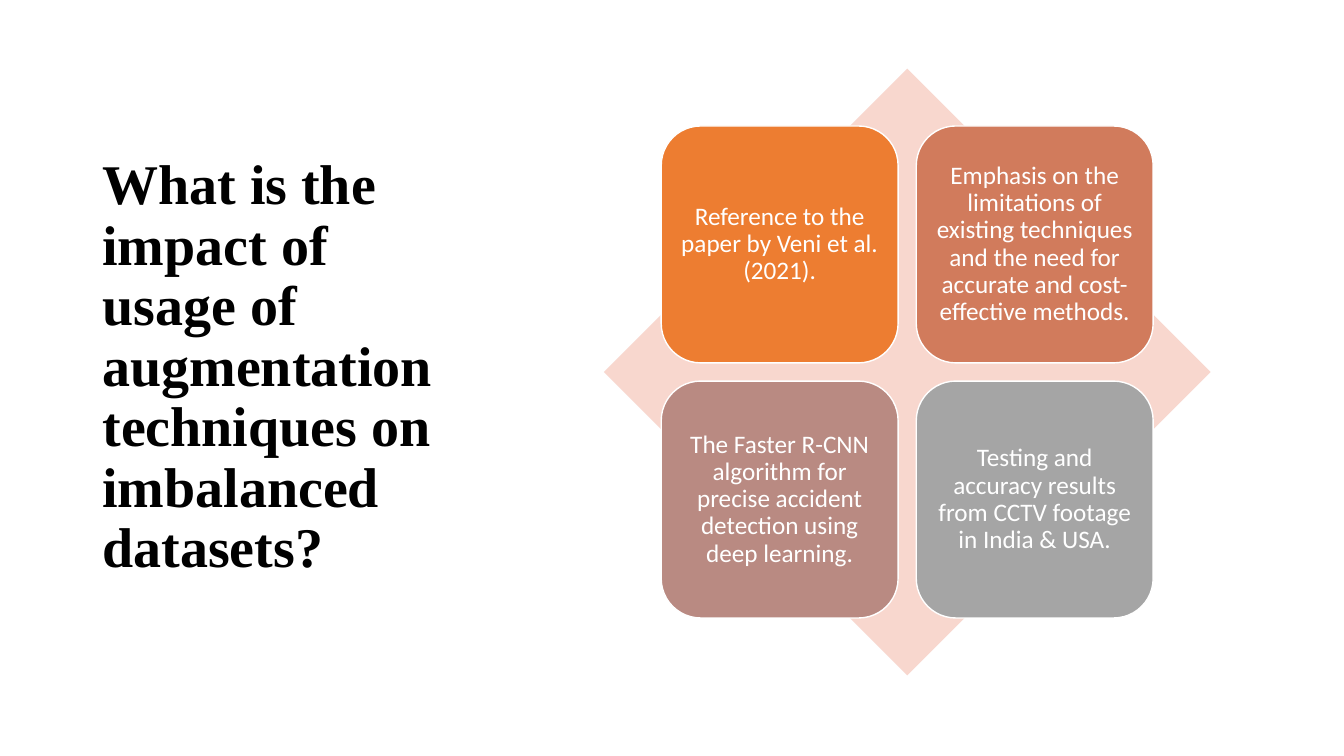
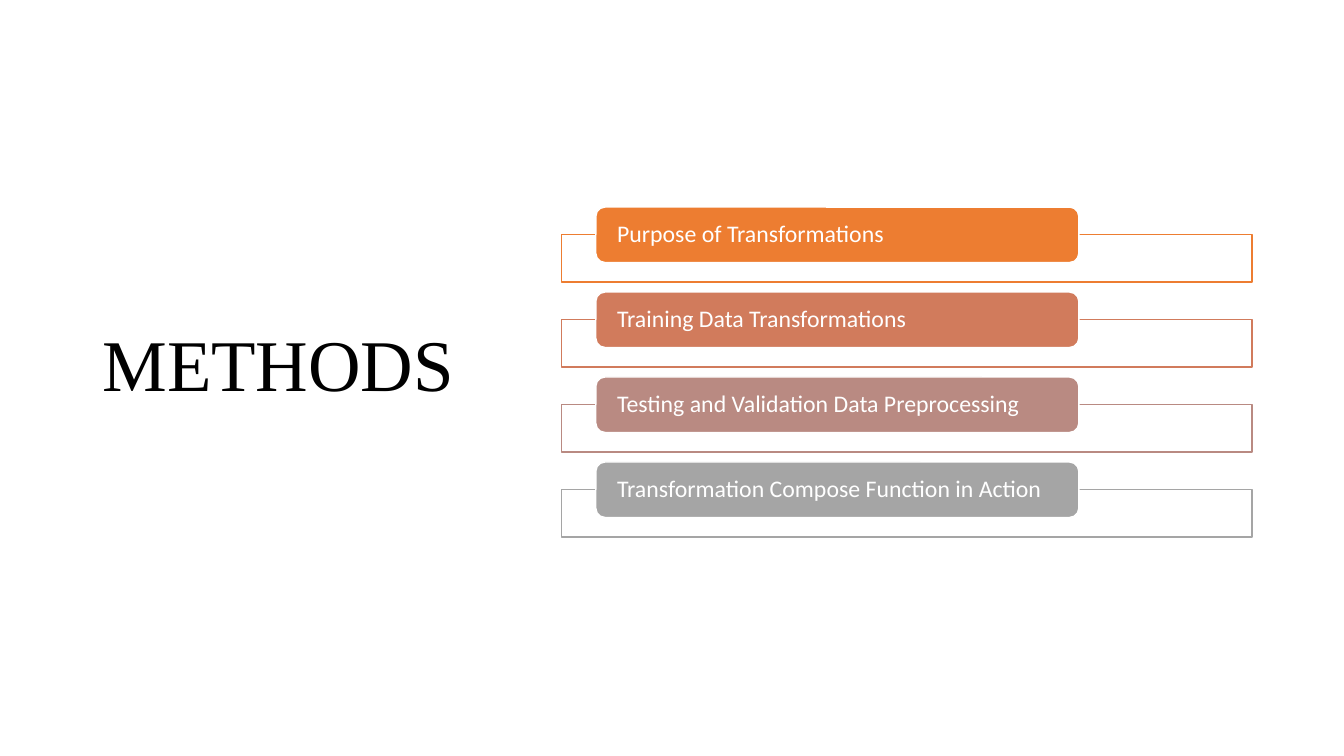
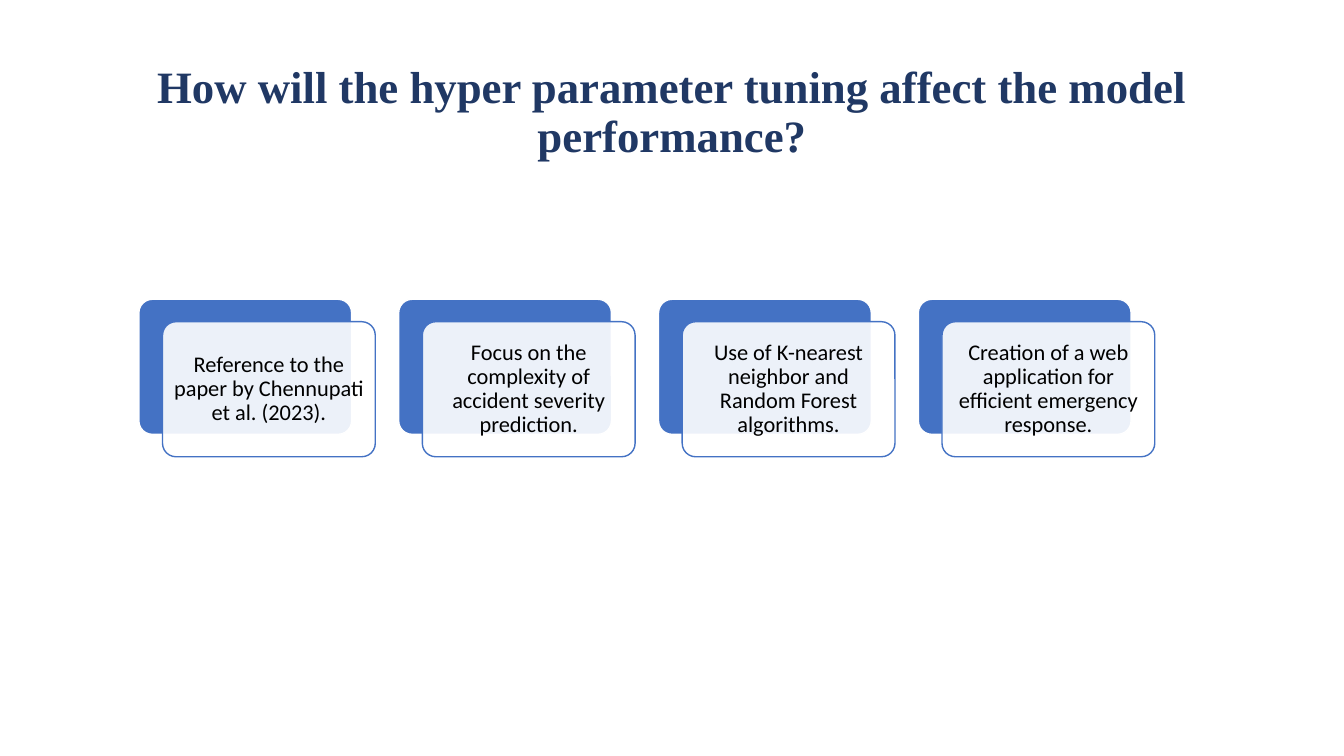
from dataclasses import dataclass

from lxml.etree import SubElement
from pptx import Presentation
from pptx.dml.color import RGBColor
from pptx.enum.shapes import MSO_SHAPE
from pptx.enum.text import MSO_ANCHOR, MSO_AUTO_SIZE, PP_ALIGN
from pptx.oxml.ns import qn
from pptx.util import Pt


# Colours, fonts and type sizes
@dataclass(frozen=True)
class Theme:
    white: str = "FFFFFF"
    black: str = "000000"
    navy: str = "203864"
    blue: str = "4472C4"
    blush: str = "F8D7CE"
    accents: tuple = ("ED7D31", "D17B5C", "B98A82", "A5A5A5")
    title_font: str = "Times New Roman"
    body_font: str = "Calibri"
    question_size: float = 40
    section_size: float = 52
    heading_size: float = 32
    card_size: float = 18
    label_size: float = 17
    tile_size: float = 16
    line_width: float = 1
    line_spacing: float = 0.9


THEME = Theme()
SIDE_TITLE = (66, 44, 266, 438)
TOP_TITLE = (66, 28.8, 828, 104.4)


def write_text(shape, text, *, size, color, font=THEME.body_font, bold=False,
               align=PP_ALIGN.LEFT, inset=(7.2, 3.6)):
    """Fill a shape with one vertically centred paragraph."""
    frame = shape.text_frame
    frame.word_wrap = True
    frame.auto_size = MSO_AUTO_SIZE.NONE
    frame.vertical_anchor = MSO_ANCHOR.MIDDLE
    frame.margin_left = frame.margin_right = Pt(inset[0])
    frame.margin_top = frame.margin_bottom = Pt(inset[1])
    para = frame.paragraphs[0]
    para.alignment = align
    para.line_spacing = THEME.line_spacing
    para.space_before = para.space_after = Pt(0)
    span = para.add_run()
    span.text = text
    span.font.name = font
    span.font.size = Pt(size)
    span.font.bold = bold
    span.font.color.rgb = RGBColor.from_string(color)


class SlideBuilder:
    """Holds the theme and the slide being built."""

    def __init__(self, deck, theme):
        self.deck = deck
        self.theme = theme
        self.page = None

    def new_page(self, title, area, **style):
        self.page = self.deck.slides.add_slide(self.deck.slide_layouts[5])
        box = self.page.shapes.title
        box.left, box.top, box.width, box.height = map(Pt, area)
        write_text(box, title, font=self.theme.title_font, **style)

    def shape(self, kind, area, fill, line=None, opacity=100, corner=None):
        box = self.page.shapes.add_shape(kind, *map(Pt, area))
        box.shadow.inherit = False
        box.fill.solid()
        box.fill.fore_color.rgb = RGBColor.from_string(fill)
        if opacity < 100:
            color = box.fill._xPr.find(qn("a:solidFill"))[0]
            SubElement(color, qn("a:alpha"), val=str(opacity * 1000))
        if line:
            box.line.color.rgb = RGBColor.from_string(line)
            box.line.width = Pt(self.theme.line_width)
        else:
            box.line.fill.background()
        if corner is not None:
            box.adjustments[0] = corner
        return box

    def card(self, area, text, fill):
        box = self.shape(MSO_SHAPE.ROUNDED_RECTANGLE, area, fill, self.theme.white)
        write_text(box, text, size=self.theme.card_size, color=self.theme.white,
                   align=PP_ALIGN.CENTER, inset=(5, 5))

    def label_bar(self, left, top, text, color):
        white = self.theme.white
        self.shape(MSO_SHAPE.RECTANGLE, (left, top + 19.8, 493.2, 33.8),
                   white, color, opacity=90)
        label = self.shape(MSO_SHAPE.ROUNDED_RECTANGLE, (left + 24.6, top, 345, 39.6),
                           color, white)
        write_text(label, text, size=self.theme.label_size, color=white,
                   inset=(13.2, 0))

    def layered_tile(self, left, top, text):
        width, height, corner = 152, 96.5, 0.1
        white, blue = self.theme.white, self.theme.blue
        self.shape(MSO_SHAPE.ROUNDED_RECTANGLE, (left, top, width, height),
                   blue, white, corner=corner)
        front = self.shape(MSO_SHAPE.ROUNDED_RECTANGLE,
                           (left + 16.9, top + 16, width, height),
                           white, blue, opacity=90, corner=corner)
        write_text(front, text, size=self.theme.tile_size, color=self.theme.black,
                   align=PP_ALIGN.CENTER, inset=(5, 5))


# Slide 1: four cards around the centre of a diamond
def build_augmentation(builder):
    theme = builder.theme
    builder.new_page(
        "What is the impact of usage of augmentation techniques on imbalanced datasets?",
        SIDE_TITLE, size=theme.question_size, color=theme.black, bold=True)
    center_x, center_y, diamond, side, gap = 648, 265.7, 433.4, 169.2, 13
    builder.shape(MSO_SHAPE.DIAMOND,
                  (center_x - diamond / 2, center_y - diamond / 2, diamond, diamond),
                  theme.blush)
    texts = (
        "Reference to the paper by Veni et al. (2021).",
        "Emphasis on the limitations of existing techniques and the need for "
        "accurate and cost-effective methods.",
        "The Faster R-CNN algorithm for precise accident detection using deep learning.",
        "Testing and accuracy results from CCTV footage in India & USA.",
    )
    start = side + gap / 2
    for index, (text, color) in enumerate(zip(texts, theme.accents)):
        row, column = divmod(index, 2)
        left = center_x - start + column * (side + gap)
        top = center_y - start + row * (side + gap)
        builder.card((left, top, side, side), text, color)


# Slide 2: stacked label bars
def build_methods(builder):
    theme = builder.theme
    builder.new_page("METHODS", SIDE_TITLE, size=theme.section_size, color=theme.black)
    labels = (
        "Purpose of Transformations",
        "Training Data Transformations",
        "Testing and Validation Data Preprocessing",
        "Transformation Compose Function in Action",
    )
    for row, (label, color) in enumerate(zip(labels, theme.accents)):
        builder.label_bar(401, 147.9 + row * 60.7, label, color)


# Slide 3: a row of layered tiles
def build_tuning(builder):
    theme = builder.theme
    builder.new_page("How will the hyper parameter tuning affect the model performance?",
                     TOP_TITLE, size=theme.heading_size, color=theme.navy, bold=True,
                     align=PP_ALIGN.CENTER)
    texts = (
        "Reference to the paper by Chennupati et al. (2023).",
        "Focus on the complexity of accident severity prediction.",
        "Use of K-nearest neighbor and Random Forest algorithms.",
        "Creation of a web application for efficient emergency response.",
    )
    for column, text in enumerate(texts):
        builder.layered_tile(99.2 + column * 185.6, 213.8, text)


def main():
    deck = Presentation()
    deck.slide_width, deck.slide_height = Pt(960), Pt(540)
    builder = SlideBuilder(deck, THEME)
    build_augmentation(builder)
    build_methods(builder)
    build_tuning(builder)
    deck.save("out.pptx")


if __name__ == "__main__":
    main()
